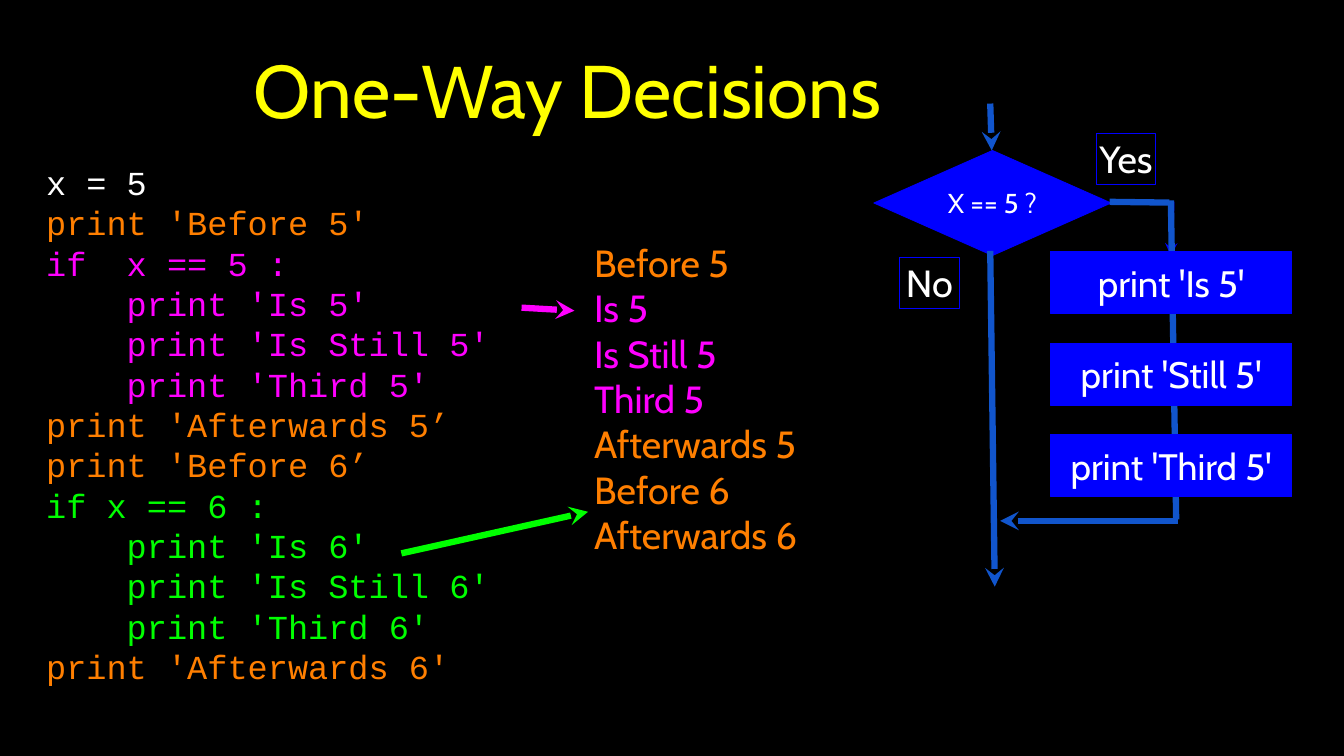
import dataclasses

import lxml.etree
import pptx
import pptx.dml.color
import pptx.enum.shapes
import pptx.enum.text
import pptx.oxml.ns
import pptx.util
from pptx.util import Inches

SHAPE = pptx.enum.shapes.MSO_SHAPE
ALIGN = pptx.enum.text.PP_ALIGN
MIDDLE = pptx.enum.text.MSO_ANCHOR.MIDDLE


@dataclasses.dataclass(frozen=True)
class Theme:
    back: str = "000000"
    white: str = "FFFFFF"
    yellow: str = "FFFF00"
    orange: str = "FF7F00"
    pink: str = "FF00FF"
    green: str = "00FF00"
    blue: str = "0000FF"
    flow: str = "1155CC"
    sans: str = "Cabin"
    mono: str = "Courier New"
    title: int = 71
    code: int = 32
    body: int = 36
    step: int = 35
    test: int = 26
    thick: int = 6
    thin: int = 4
    edge: float = 0.75


T = Theme()

CODE = [
    (T.white, ["x = 5"]),
    (T.orange, ["print 'Before 5'"]),
    (T.pink, ["if  x == 5 :", "    print 'Is 5'", "    print 'Is Still 5'",
              "    print 'Third 5'"]),
    (T.orange, ["print 'Afterwards 5’", "print 'Before 6’"]),
    (T.green, ["if x == 6 :", "    print 'Is 6'", "    print 'Is Still 6'",
               "    print 'Third 6'"]),
    (T.orange, ["print 'Afterwards 6'"]),
]
OUTPUT = [
    (T.orange, ["Before 5"]),
    (T.pink, ["Is 5", "Is Still 5", "Third 5"]),
    (T.orange, ["Afterwards 5", "Before 6", "Afterwards 6"]),
]
STEPS = ["print 'Is 5'", "print 'Still 5'", "print 'Third 5'"]


def tint(color, value):
    color.rgb = pptx.dml.color.RGBColor.from_string(value)


def assign(target, values):
    for name, value in values.items():
        setattr(target, name, value)


def write(shape, groups, font, size, align=ALIGN.LEFT, inset=0, pitch=None):
    """Fill a shape with one paragraph per line; groups are (colour, lines)."""
    frame = shape.text_frame
    pad = Inches(inset)
    assign(frame, dict(word_wrap=True, vertical_anchor=MIDDLE,
                       margin_left=pad, margin_right=pad,
                       margin_top=pad, margin_bottom=pad))
    lines = [(color, line) for color, group in groups for line in group]
    for i, (color, line) in enumerate(lines):
        para = frame.add_paragraph() if i else frame.paragraphs[0]
        assign(para, dict(alignment=align, line_spacing=pitch))
        run = para.add_run()
        run.text = line
        assign(run.font, dict(name=font, size=pptx.util.Pt(size)))
        tint(run.font.color, color)


def text(slide, box, groups, font, size, **style):
    shape = slide.shapes.add_textbox(*map(Inches, box))
    write(shape, groups, font, size, **style)


def node(slide, box, label, size, kind=SHAPE.RECTANGLE, solid=True):
    shape = slide.shapes.add_shape(kind, *map(Inches, box))
    shape.shadow.inherit = False
    if solid:
        shape.fill.solid()
        tint(shape.fill.fore_color, T.blue)
    else:
        shape.fill.background()
    tint(shape.line.color, T.blue)
    shape.line.width = pptx.util.Pt(T.edge)
    write(shape, [(T.white, [label])], T.sans, size, align=ALIGN.CENTER)


def link(slide, start, end, color, width=T.thick, arrow=True):
    """Draw a line whose arrowhead, if any, sits at its start."""
    line = slide.shapes.add_connector(
        pptx.enum.shapes.MSO_CONNECTOR.STRAIGHT, *map(Inches, (*start, *end)))
    tint(line.line.color, color)
    line.line.width = pptx.util.Pt(width)
    props = line._element.spPr
    qn = pptx.oxml.ns.qn
    if arrow:
        lxml.etree.SubElement(props.find(qn("a:ln")), qn("a:headEnd"),
                              type="stealth")
    lxml.etree.SubElement(props, qn("a:effectLst"))


def heading(slide, box):
    text(slide, box, [(T.yellow, ["One-Way Decisions"])], T.sans, T.title,
         align=ALIGN.CENTER, inset=0.04)


def listing(slide, box):
    """Program text, with an arrow from each branch to its output."""
    text(slide, box, CODE, T.mono, T.code,
         pitch=pptx.util.Pt(1.2 * T.code))
    x, y = box[:2]
    for tip, tail, color in [((6.99, 2.44), (6.29, 2.4), T.pink),
                             ((7.17, 5.1), (4.7, 5.65), T.green)]:
        link(slide, (x + tip[0], y + tip[1]),
             (x + tail[0], y + tail[1]), color)


def results(slide, box):
    text(slide, box, OUTPUT, T.sans, T.body)


def chart(slide, box):
    """Flow chart: test on the left, the Yes branch on the right."""
    x, y, w, h = box
    mid = x + 1.54
    base = y + h
    side = x + 3.93
    turn = y + 1.3
    foot = y + 5.52
    left, top = x + 2.34, y + 1.96
    wide, high, pitch = w - 2.34, 0.82, 1.21

    link(slide, (mid + 0.02, y + 0.62), (mid, y), T.flow)
    node(slide, (x, y + 0.62, 3.14, 1.39), "X == 5 ?", T.test, SHAPE.DIAMOND)
    link(slide, (mid + 0.06, base), (mid, y + 1.95), T.flow)
    link(slide, (side - 0.02, turn + 0.01), (x + 3.12, turn), T.flow,
         arrow=False)
    link(slide, (side, top + 0.05), (side + 0.02, turn), T.blue, T.thin)
    link(slide, (side, turn - 0.02), (side + 0.07, foot - 0.02), T.flow,
         arrow=False)
    link(slide, (x + 1.67, foot), (side + 0.09, foot), T.flow)

    for label, dx, dy in [("Yes", 2.94, 0.39), ("No", 0.34, 2.03)]:
        node(slide, (x + dx, y + dy, 0.79, 0.68), label, T.body, solid=False)
    for i, label in enumerate(STEPS):
        node(slide, (left, top + i * pitch, wide, high), label, T.step)


def main():
    deck = pptx.Presentation()
    assign(deck, dict(slide_width=Inches(17.78), slide_height=Inches(10)))
    slide = deck.slides.add_slide(deck.slide_layouts[6])
    fill = slide.background.fill
    fill.solid()
    tint(fill.fore_color, T.back)
    heading(slide, (2.32, 0.2, 10.38, 1.96))
    listing(slide, (0.61, 1.67, 6.25, 7.88))
    results(slide, (7.86, 3.15, 2.69, 4.24))
    chart(slide, (11.56, 1.37, 5.53, 6.39))
    deck.save("out.pptx")


if __name__ == "__main__":
    main()
